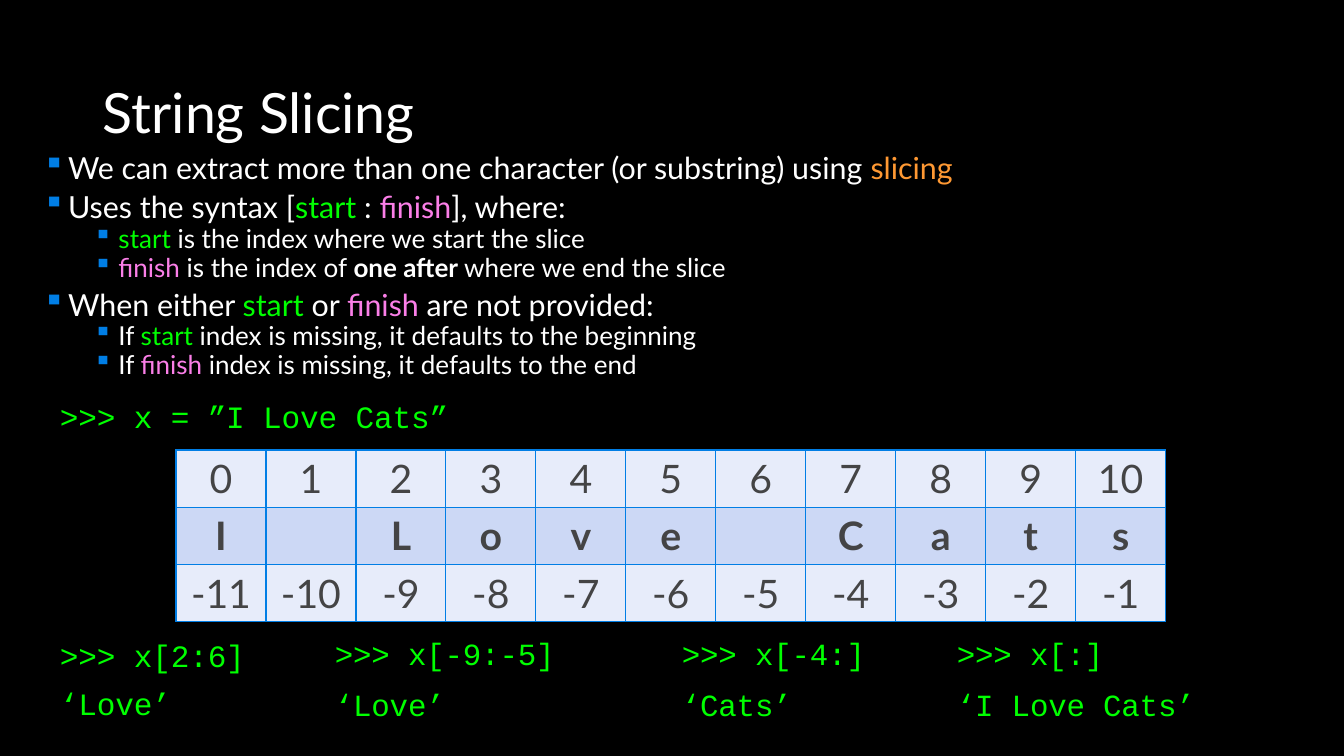
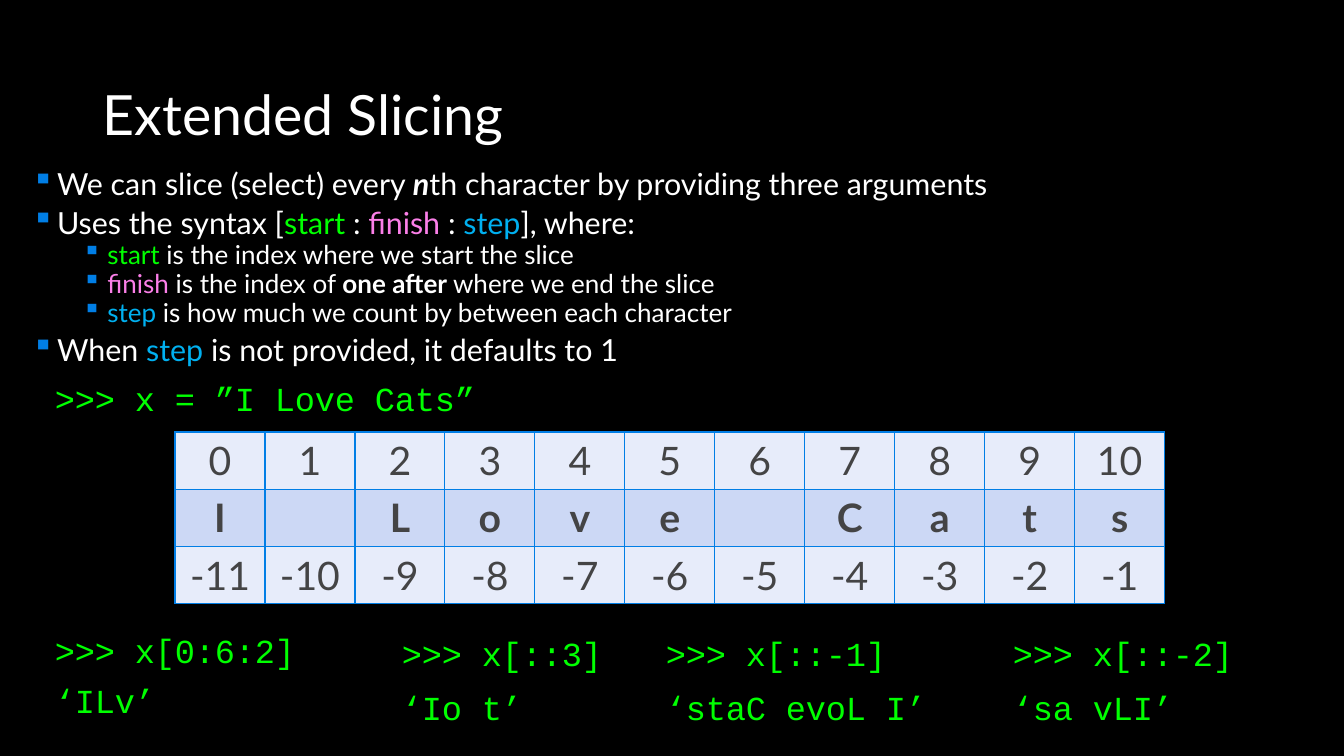
"""Build two slides on string slicing and extended slicing."""
from dataclasses import dataclass

from lxml import etree
from pptx import Presentation
from pptx import util as u
from pptx.dml.color import RGBColor
from pptx.enum import text
from pptx.oxml import ns


@dataclass(frozen=True)
class Theme:
    back: str = "000000"
    ink: str = "FFFFFF"
    bullet: str = "007EE5"
    code: str = "00FF00"
    cell_ink: str = "444445"
    cell_light: str = "E7ECFA"
    cell_dark: str = "CCD8F5"
    border: str = "017EE5"
    orange: str = "FF9933"
    pink: str = "FB7FE8"
    sky: str = "00B0F0"
    font: str = "Lato"
    mono: str = "Courier New"
    title_size: float = 39.6
    body_sizes: tuple = (21.7, 18.6)
    body_gaps: tuple = (10, 5)
    cell_size: float = 28
    code_gap: float = 10


theme = Theme()
PX = 12192000 / 1344
EMPHASIS = {
    "slicing": {"color": theme.orange},
    "start": {"color": theme.code},
    "finish": {"color": theme.pink},
    "step": {"color": theme.sky},
    "one after": {"bold": True},
    "n": {"bold": True, "italic": True},
}
WORD = "I Love Cats"
INDEX_ROWS = [
    (range(len(WORD)), theme.cell_light, False),
    (WORD, theme.cell_dark, True),
    (range(-len(WORD), 0), theme.cell_light, False),
]
COLUMN, ROW = 90, 57
START_FINISH = [
    (1, ["start", " is the index where we start the slice"]),
    (1, ["finish", " is the index of ", "one after ", "where we end the slice"]),
]
PAGES = [
    {
        "title": ("String Slicing", 79),
        "body": (33, 154, 1278, 243),
        "points": [
            (0, ["We can extract more than one character (or substring) using ", "slicing"]),
            (0, ["Uses the syntax [", "start", " : ", "finish", "], where:"]),
            *START_FINISH,
            (0, ["When either ", "start", " or ", "finish", " are not provided:"]),
            (1, ["If ", "start", " index is missing, it defaults to the beginning"]),
            (1, ["If ", "finish", " index is missing, it defaults to the end"]),
        ],
        "table": (176, 450),
        "code": [
            (50, 397, 564, 22.2, 0.9, [">>> x = ”I Love Cats”"]),
            (50, 636, 270, 22.2, 0.9, [">>> x[2:6]", "‘Love’"]),
            (325, 630, 348, 22, 1, [">>> x[-9:-5]", "‘Love’"]),
            (672, 630, 248, 22, 1, [">>> x[-4:]", "‘Cats’"]),
            (947, 630, 305, 22, 1, [">>> x[:]", "‘I Love Cats’"]),
        ],
    },
    {
        "title": ("Extended Slicing", 81),
        "body": (22, 170, 1298, 208),
        "points": [
            (0, ["We can slice (select) every ", "n", "th character by providing three arguments"]),
            (0, ["Uses the syntax [", "start", " : ", "finish", " : ", "step", "], where:"]),
            *START_FINISH,
            (1, ["step", " is how much we count by between each character"]),
            (0, ["When ", "step", " is not provided, it defaults to 1"]),
        ],
        "table": (175, 432),
        "code": [
            (45, 378, 521, 24, 0.9, [">>> x = ”I Love Cats”"]),
            (45, 629, 340, 24, 0.9, [">>> x[0:6:2]", "‘ILv’"]),
            (392, 628, 260, 24, 1, [">>> x[::3]", "‘Io t’"]),
            (656, 628, 340, 24, 1, [">>> x[::-1]", "‘staC evoL I’"]),
            (1003, 628, 340, 24, 1, [">>> x[::-2]", "‘sa vLI’"]),
        ],
    },
]


def add_box(page, *rect):
    frame = page.shapes.add_textbox(*(u.Emu(round(side * PX)) for side in rect)).text_frame
    frame.word_wrap = True
    return frame


def add_span(para, words, size, color=theme.ink, font=theme.font, bold=False, italic=False):
    span = para.add_run()
    span.text = words
    span.font.name, span.font.size = font, u.Pt(size)
    span.font.bold, span.font.italic = bold, italic
    span.font.color.rgb = RGBColor.from_string(color)
    return span


deck = Presentation()
deck.slide_width, deck.slide_height = u.Emu(round(1344 * PX)), u.Emu(round(756 * PX))

for content in PAGES:
    page = deck.slides.add_slide(deck.slide_layouts[6])
    page.background.fill.solid()
    page.background.fill.fore_color.rgb = RGBColor.from_string(theme.back)

    title, top = content["title"]
    frame = add_box(page, 93, top, 1159, 73)
    frame.vertical_anchor = text.MSO_ANCHOR.MIDDLE
    frame.paragraphs[0].line_spacing = 0.9
    add_span(frame.paragraphs[0], title, theme.title_size)

    frame = add_box(page, *content["body"])
    for number, (level, spans) in enumerate(content["points"]):
        para = frame.add_paragraph() if number else frame.paragraphs[0]
        para.level = level
        para.line_spacing = 0.7
        para.space_before = u.Pt(theme.body_gaps[level])
        props = para._p.get_or_add_pPr()
        props.set("marL", str(u.Inches(0.25 + 0.5 * level)))
        props.set("indent", str(u.Inches(-0.25)))
        tint = etree.SubElement(props, ns.qn("a:buClr"))
        etree.SubElement(tint, ns.qn("a:srgbClr"), val=theme.bullet)
        etree.SubElement(props, ns.qn("a:buChar"), char="▪")
        for words in spans:
            add_span(para, words, theme.body_sizes[level], **EMPHASIS.get(words.strip(), {}))

    left, top = content["table"]
    rect = (left, top, COLUMN * len(WORD), ROW * len(INDEX_ROWS))
    table = page.shapes.add_table(
        len(INDEX_ROWS), len(WORD), *(u.Emu(round(side * PX)) for side in rect)
    ).table
    table.first_row = table.horz_banding = False
    for row, (values, fill, bold) in enumerate(INDEX_ROWS):
        for column, value in enumerate(values):
            cell = table.cell(row, column)
            props = cell._tc.get_or_add_tcPr()
            for side in ("lnL", "lnR", "lnT", "lnB"):
                line = etree.SubElement(props, ns.qn(f"a:{side}"), w=str(u.Pt(1)))
                paint = etree.SubElement(line, ns.qn("a:solidFill"))
                etree.SubElement(paint, ns.qn("a:srgbClr"), val=theme.border)
            cell.fill.solid()
            cell.fill.fore_color.rgb = RGBColor.from_string(fill)
            para = cell.text_frame.paragraphs[0]
            para.alignment = text.PP_ALIGN.CENTER
            if value != " ":
                add_span(para, str(value), theme.cell_size, theme.cell_ink, bold=bold)

    for left, top, width, size, spacing, lines in content["code"]:
        frame = add_box(page, left, top, width, 58 * len(lines))
        for number, words in enumerate(lines):
            para = frame.add_paragraph() if number else frame.paragraphs[0]
            para.line_spacing = spacing
            para.space_before = u.Pt(theme.code_gap)
            span = add_span(para, words, size, theme.code, theme.mono)
            span.font._element.set("spc", "-10")

deck.save("out.pptx")
